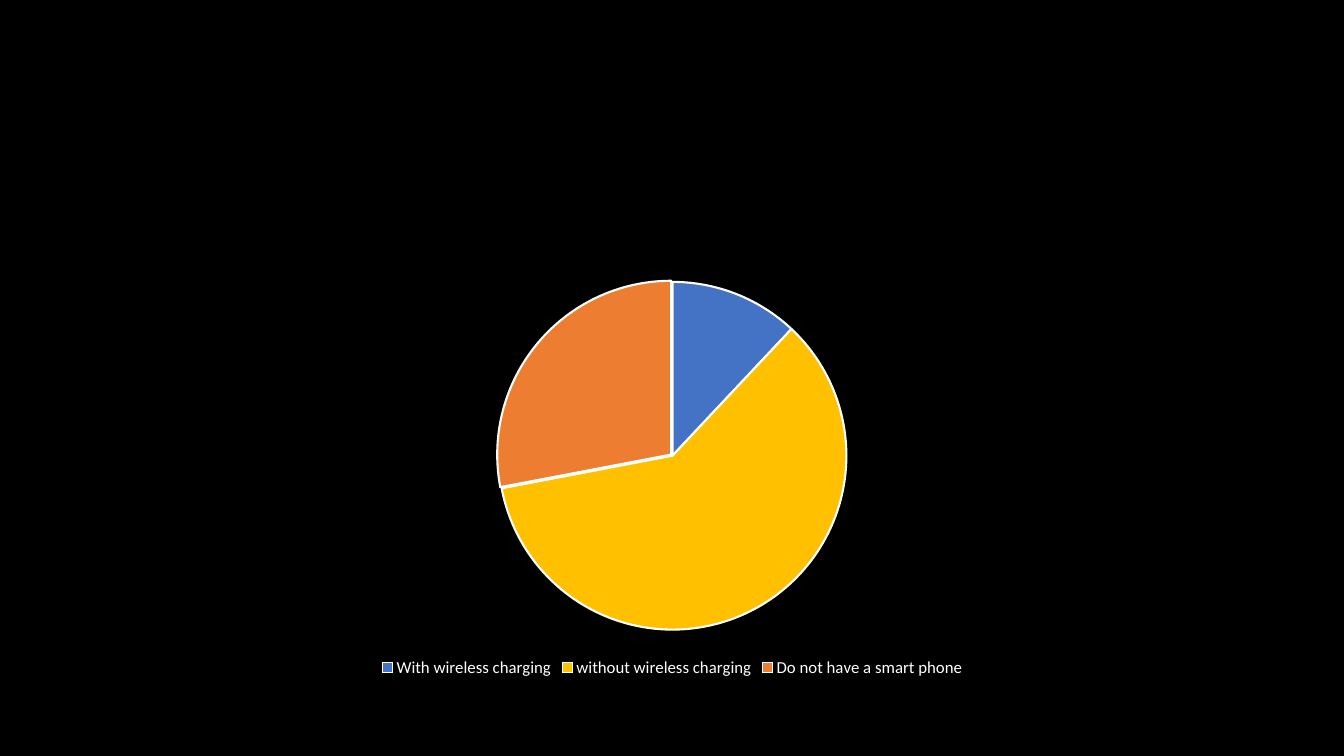
from dataclasses import dataclass

from pptx import Presentation
from pptx.chart.data import CategoryChartData
from pptx.dml.color import RGBColor
from pptx.enum.chart import XL_CHART_TYPE, XL_LEGEND_POSITION
from pptx.oxml import parse_xml
from pptx.oxml.ns import nsdecls, qn
from pptx.util import Inches, Pt


@dataclass(frozen=True)
class Theme:
    font: str = "Calibri"
    background: str = "000000"
    text: str = "FFFFFF"
    outline: str = "FFFFFF"
    base_size: float = 10
    legend_size: float = 12
    outline_width: float = 1.5


class SlideBuilder:
    def __init__(self, slide, theme):
        self.slide = slide
        self.theme = theme

    def background(self):
        fill = self.slide.background.fill
        fill.solid()
        fill.fore_color.rgb = RGBColor.from_string(self.theme.background)

    def style_font(self, font, size):
        font.name = self.theme.font
        font.size = Pt(size)
        font.color.rgb = RGBColor.from_string(self.theme.text)

    def pie(self, left, top, width, height, shares, plot_box):
        """Draw a pie from (category, value, colour, explosion) rows."""
        chart_data = CategoryChartData()
        chart_data.categories = [category for category, *_ in shares]
        chart_data.add_series("", [value for _, value, *_ in shares])
        chart = self.slide.shapes.add_chart(
            XL_CHART_TYPE.PIE, Inches(left), Inches(top),
            Inches(width), Inches(height), chart_data).chart
        chart.has_title = False
        self.style_font(chart.font, self.theme.base_size)

        # Slices
        pie_plot = chart.plots[0]
        pie_plot.vary_by_categories = True
        for index, (_, _, colour, explosion) in enumerate(shares):
            point = pie_plot.series[0].points[index]
            point.format.fill.solid()
            point.format.fill.fore_color.rgb = RGBColor.from_string(colour)
            point.format.line.color.rgb = RGBColor.from_string(self.theme.outline)
            point.format.line.width = Pt(self.theme.outline_width)
            if explosion:
                slice_format = pie_plot.series[0].points[index].format
                slice_format.fill.solid()
                slice_format.fill.fore_color.rgb = RGBColor.from_string(colour)
                slice_xml = chart.element.findall(".//" + qn("c:dPt"))[index]
                slice_xml.find(qn("c:spPr")).addprevious(parse_xml(
                    f'<c:explosion {nsdecls("c")} val="{explosion}"/>'))

        # Legend
        chart.has_legend = True
        chart.legend.position = XL_LEGEND_POSITION.BOTTOM
        chart.legend.include_in_layout = False
        self.style_font(chart.legend.font, self.theme.legend_size)

        self.place_plot(chart, plot_box)

    def place_plot(self, chart, plot_box):
        """Fix the plot area, given as fractions of the chart."""
        plot_area = chart.element.find(".//" + qn("c:plotArea"))
        for layout in plot_area.findall(qn("c:layout")):
            plot_area.remove(layout)
        sizes = "".join(f'<c:{side} val="{value}"/>'
                        for side, value in zip("xywh", plot_box))
        plot_area.insert(0, parse_xml(
            f'<c:layout {nsdecls("c")}><c:manualLayout>'
            '<c:layoutTarget val="inner"/>'
            '<c:xMode val="edge"/><c:yMode val="edge"/>'
            f'{sizes}</c:manualLayout></c:layout>'))


def main():
    presentation = Presentation()
    presentation.slide_width = Inches(13.33)
    presentation.slide_height = Inches(7.5)
    blank_layout = presentation.slide_layouts[6]
    builder = SlideBuilder(presentation.slides.add_slide(blank_layout), Theme())
    builder.background()

    # Wireless charging among smart phone owners
    charging_shares = [
        ("With wireless charging", 12, "4472C4", 0),
        ("without wireless charging", 60, "FFC000", 0),
        ("Do not have a smart phone", 28, "ED7D31", 1),
    ]
    builder.pie(0.92, 2, 11.5, 4.76, charging_shares,
                plot_box=(0.35, 0.16, 0.3, 0.74))

    presentation.save("out.pptx")


if __name__ == "__main__":
    main()
